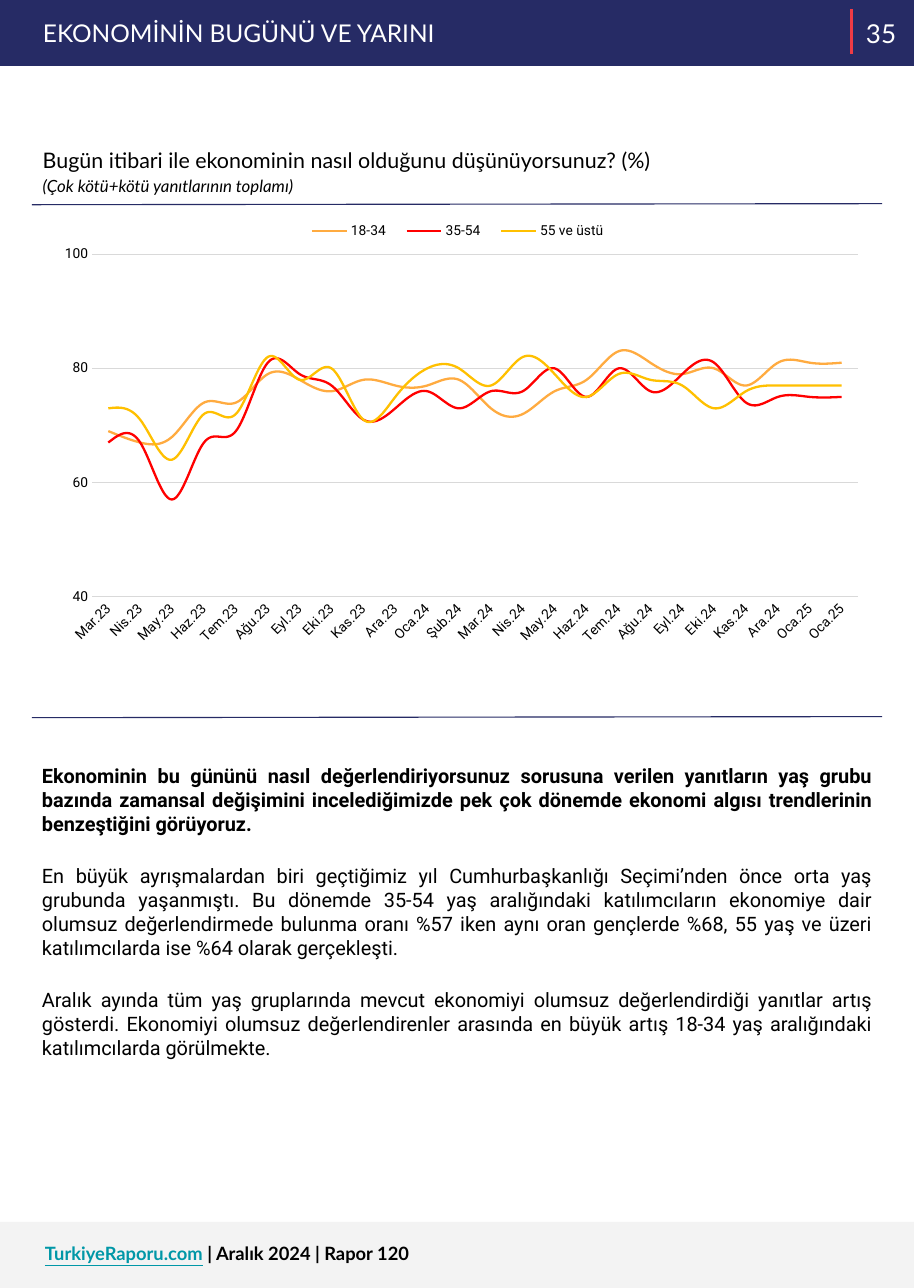
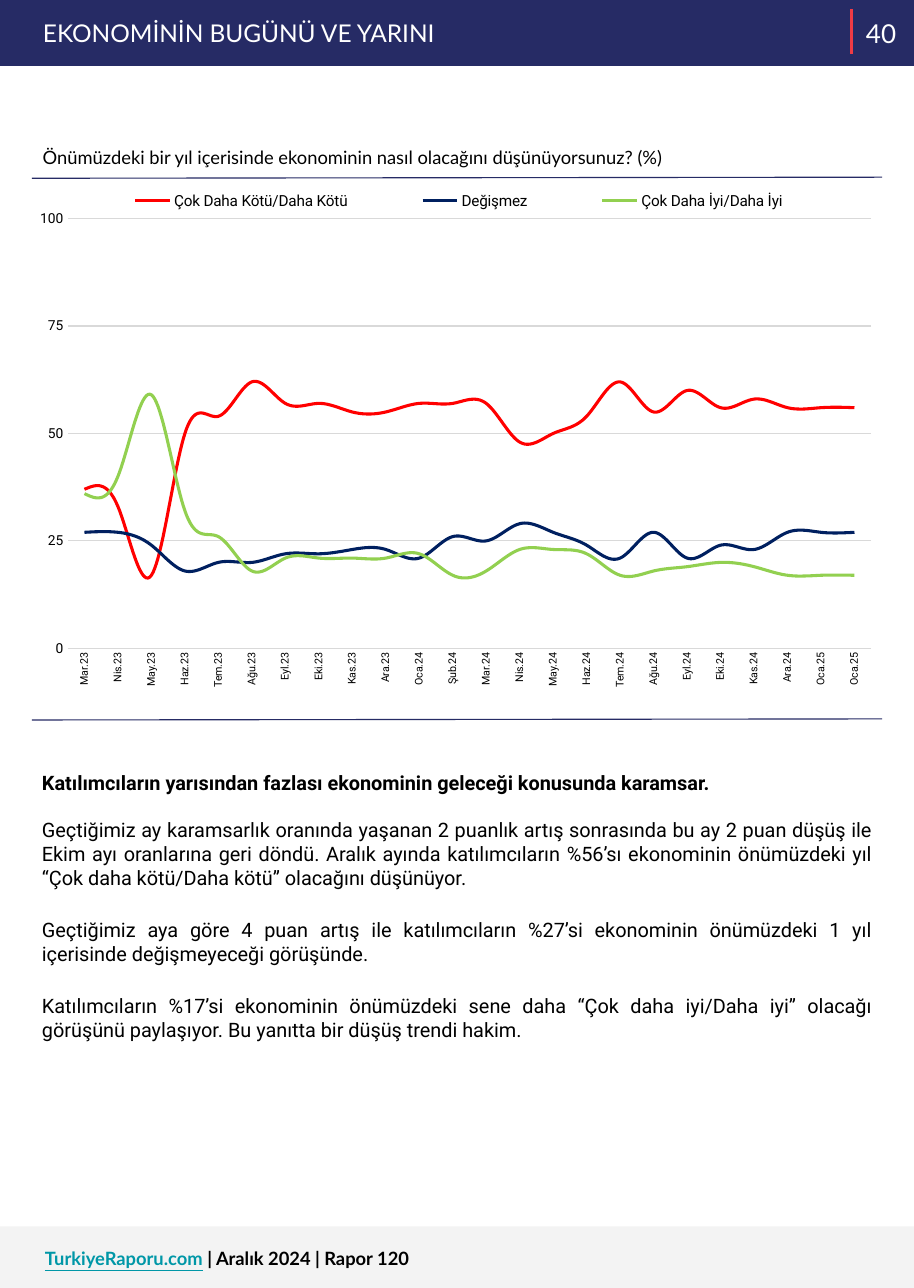
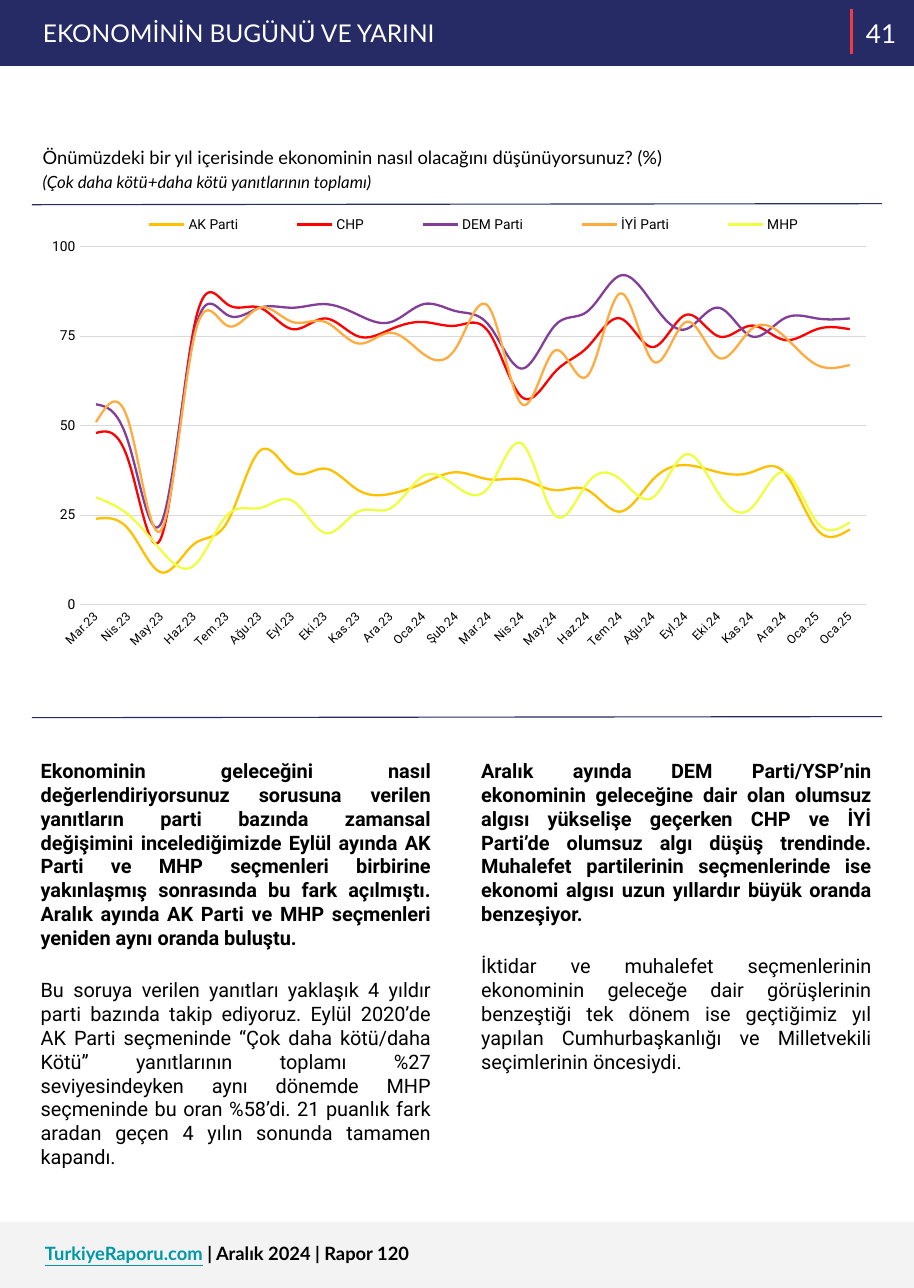
from lxml import etree
from pptx import Presentation
from pptx.chart.data import CategoryChartData
from pptx.dml.color import RGBColor
from pptx.enum import chart as charts, shapes, text
from pptx.oxml.ns import qn
from pptx.util import Pt

NAVY = RGBColor(0x26, 0x2B, 0x65)
CORAL = RGBColor(0xEF, 0x3B, 0x45)
TEAL = RGBColor(0x00, 0x97, 0xA7)
PALE = RGBColor(0xF3, 0xF3, 0xF3)
GRID = RGBColor(0xD9, 0xD9, 0xD9)
WHITE = RGBColor(0xFF, 0xFF, 0xFF)
BLACK = RGBColor(0, 0, 0)
RED = RGBColor(0xFF, 0, 0)
ORANGE = RGBColor(0xFF, 0xAB, 0x40)
AMBER = RGBColor(0xFF, 0xC0, 0)
MARINE = RGBColor(0, 0x20, 0x60)
GREEN = RGBColor(0x92, 0xD0, 0x50)
PURPLE = RGBColor(0x83, 0x3E, 0x97)
LEMON = RGBColor(0xEE, 0xFF, 0x41)

HEADING, BODY = "Lato", "Roboto"
PAGE_WIDTH, PAGE_HEIGHT = 597.6, 842.4
BAND_HEIGHT = 43.2
LEFT, WIDTH = 20.9, 556.6
PARAGRAPH_GAP = 18.4
ONE_COLUMN, TWO_COLUMNS = 1, 3  # layout numbers in the template

MONTHS = ["Oca", "Şub", "Mar", "Nis", "May", "Haz",
          "Tem", "Ağu", "Eyl", "Eki", "Kas", "Ara"]
PERIODS = ([f"{month}.23" for month in MONTHS[2:]]
           + [f"{month}.24" for month in MONTHS] + ["Oca.25"] * 2)


def style_font(font, name, size, color=BLACK, bold=None, italic=None):
    font.name, font.size = name, Pt(size)
    font.bold, font.italic = bold, italic
    font.color.rgb = color


def set_layout(parent, index, position, inner=False):
    """Place a plot area or legend by fractions of the chart."""
    for old in parent.findall(qn("c:layout")):
        parent.remove(old)
    layout = etree.Element(qn("c:layout"))
    manual = etree.SubElement(layout, qn("c:manualLayout"))
    settings = [("layoutTarget", "inner")] if inner else []
    settings += [("xMode", "edge"), ("yMode", "edge")]
    settings += zip("xywh", position)
    for tag, value in settings:
        etree.SubElement(manual, qn(f"c:{tag}")).set("val", str(value))
    parent.insert(index, layout)


class Report:
    def __init__(self):
        self.presentation = Presentation()
        self.presentation.slide_width = Pt(PAGE_WIDTH)
        self.presentation.slide_height = Pt(PAGE_HEIGHT)
        self.slide = None

    def new_slide(self, layout, number, footer_top=799.2):
        layouts = self.presentation.slide_layouts
        self.slide = self.presentation.slides.add_slide(layouts[layout])
        # Header
        self.band(0, NAVY)
        self.line(556.6, 5.8, 556.6, 35.3, CORAL, 2.25)
        title = self.slide.shapes.title
        self.slide.shapes._spTree.append(title._element)  # above the band
        self.place(title, 20.9, 4.3, 464.4, 33.8)
        self.paragraph(title.text_frame, "EKONOMİNİN BUGÜNÜ VE YARINI",
                       HEADING, 16, WHITE)
        page = self.text_box(556.6, -10.8, 38.9, 64.8)
        page.vertical_anchor = text.MSO_ANCHOR.MIDDLE
        self.paragraph(page, str(number), HEADING, 17, WHITE,
                       align=text.PP_ALIGN.CENTER)
        # Footer
        self.band(footer_top, PALE)
        footer = self.text_box(22.3, footer_top + 6.3, 501, 28.8)
        paragraph = footer.paragraphs[0]
        style_font(paragraph.font, HEADING, 12, bold=True)
        site, issue = paragraph.add_run(), paragraph.add_run()
        site.text, issue.text = "TurkiyeRaporu.com", " | Aralık 2024 | Rapor 120"
        site.font.underline = True
        site.font.color.rgb = TEAL

    def band(self, top, color):
        shape = self.slide.shapes.add_shape(
            shapes.MSO_SHAPE.RECTANGLE, 0, Pt(top), Pt(PAGE_WIDTH), Pt(BAND_HEIGHT))
        shape.shadow.inherit = False
        shape.fill.solid()
        shape.fill.fore_color.rgb = color
        shape.line.fill.background()

    def line(self, x1, y1, x2, y2, color, width):
        connector = self.slide.shapes.add_connector(
            shapes.MSO_CONNECTOR.STRAIGHT, Pt(x1), Pt(y1), Pt(x2), Pt(y2))
        connector.line.color.rgb = color
        connector.line.width = Pt(width)
        etree.SubElement(connector._element.spPr, qn("a:effectLst"))

    def rule(self, top):
        self.line(LEFT, top, 576.7, top - 0.7, NAVY, 0.75)

    def place(self, shape, left, top, width, height):
        shape.left, shape.top = Pt(left), Pt(top)
        shape.width, shape.height = Pt(width), Pt(height)
        frame = shape.text_frame
        frame.word_wrap = True
        frame.auto_size = text.MSO_AUTO_SIZE.NONE
        frame.vertical_anchor = text.MSO_ANCHOR.TOP
        frame.margin_left = frame.margin_right = Pt(7.2)
        frame.margin_top = frame.margin_bottom = Pt(7.2)
        return frame

    def text_box(self, *box):
        shape = self.slide.shapes.add_textbox(*map(Pt, box))
        return self.place(shape, *box)

    def paragraph(self, frame, words, name, size, color=BLACK, bold=False,
                  italic=False, align=text.PP_ALIGN.LEFT, before=0, spacing=1.0):
        first = frame.paragraphs[0]
        paragraph = frame.add_paragraph() if first.text else first
        paragraph.text = words
        properties = paragraph._p.get_or_add_pPr()
        properties.set("marL", "0")
        properties.set("indent", "0")
        etree.SubElement(properties, qn("a:buNone"))
        paragraph.alignment = align
        paragraph.line_spacing = spacing
        paragraph.space_before = Pt(before)
        style_font(paragraph.font, name, size, color, bold, italic)

    def question(self, words, size, note=None):
        frame = self.text_box(LEFT, 86.4, WIDTH, 47)
        self.paragraph(frame, words, HEADING, size, spacing=1.15)
        if note:
            self.paragraph(frame, note, HEADING, 11, italic=True, spacing=1.15)

    def commentary(self, index, box, lead, *others, first_gap=PARAGRAPH_GAP):
        """Bold lead paragraph, then plain ones."""
        frame = self.place(self.slide.placeholders[index], *box)
        justify = text.PP_ALIGN.JUSTIFY
        self.paragraph(frame, lead, BODY, 13, bold=True, align=justify)
        for position, words in enumerate(others):
            gap = PARAGRAPH_GAP if position else first_gap
            self.paragraph(frame, words, BODY, 13, align=justify, before=gap)

    def line_chart(self, top, height, series, plot, legend, minimum=0, step=25,
                   month_size=9, legend_size=9, rotation=-45, weight=1.5):
        data = CategoryChartData()
        data.categories = PERIODS
        for name, _, values in series:
            data.add_series(name, values)
        chart = self.slide.shapes.add_chart(
            charts.XL_CHART_TYPE.LINE, Pt(LEFT), Pt(top), Pt(WIDTH), Pt(height),
            data).chart
        chart.has_title = False
        style_font(chart.font, BODY, 10)
        for line, (_, color, _) in zip(chart.plots[0].series, series):
            line.smooth = True
            line.format.line.color.rgb = color
            line.format.line.width = Pt(weight)
        # Axes
        months, percent = chart.category_axis, chart.value_axis
        for axis, size in ((months, month_size), (percent, 9)):
            axis.major_tick_mark = axis.minor_tick_mark = charts.XL_TICK_MARK.NONE
            style_font(axis.tick_labels.font, BODY, size)
        months._element.txPr.bodyPr.set("rot", str(rotation * 60000))
        percent.minimum_scale, percent.maximum_scale = minimum, 100
        percent.major_unit = step
        percent.format.line.fill.background()
        for thin in (months.format.line, percent.major_gridlines.format.line):
            thin.color.rgb = GRID
            thin.width = Pt(0.75)
        # Legend and plot area
        chart.has_legend = True
        chart.legend.position = charts.XL_LEGEND_POSITION.BOTTOM
        chart.legend.include_in_layout = False
        style_font(chart.legend.font, BODY, legend_size)
        set_layout(chart.legend._element, 1, legend)
        set_layout(chart._chartSpace.chart.plotArea, 0, plot, inner=True)


def main():
    report = Report()

    # Today's economy by age group
    report.new_slide(ONE_COLUMN, 35)
    report.question("Bugün itibari ile ekonominin nasıl olduğunu düşünüyorsunuz? (%)",
                    14, "(Çok kötü+kötü yanıtlarının toplamı)")
    report.rule(133.9)
    report.rule(469.4)
    report.commentary(
        1, (20.2, 492.5, WIDTH, 284.4),
        "Ekonominin bu gününü nasıl değerlendiriyorsunuz sorusuna verilen yanıtların "
        "yaş grubu bazında zamansal değişimini incelediğimizde pek çok dönemde ekonomi "
        "algısı trendlerinin benzeştiğini görüyoruz.",
        "En büyük ayrışmalardan biri geçtiğimiz yıl Cumhurbaşkanlığı Seçimi’nden önce "
        "orta yaş grubunda yaşanmıştı. Bu dönemde 35-54 yaş aralığındaki katılımcıların "
        "ekonomiye dair olumsuz değerlendirmede bulunma oranı %57 iken aynı oran "
        "gençlerde %68, 55 yaş ve üzeri katılımcılarda ise %64 olarak gerçekleşti.",
        "Aralık ayında tüm yaş gruplarında mevcut ekonomiyi olumsuz değerlendirdiği "
        "yanıtlar artış gösterdi. Ekonomiyi olumsuz değerlendirenler arasında en büyük "
        "artış 18-34 yaş aralığındaki katılımcılarda görülmekte.")
    report.line_chart(
        135.4, 333.4,
        [("18-34", ORANGE, [69, 67, 68, 74, 74, 79, 78, 76, 78, 77, 77, 78,
                            73, 72, 76, 78, 83, 81, 79, 80, 77, 81, 81, 81]),
         ("35-54", RED, [67, 67, 57, 67, 69, 81, 79, 77, 71, 73, 76, 73,
                         76, 76, 80, 75, 80, 76, 79, 81, 74, 75, 75, 75]),
         ("55 ve üstü", AMBER, [73, 71, 64, 72, 72, 82, 78, 80, 71, 75, 80, 80,
                                77, 82, 79, 75, 79, 78, 77, 73, 76, 77, 77, 77])],
        plot=(0.071, 0.093, 0.899, 0.671), legend=(0.31, 0.022, 0.38, 0.05),
        minimum=40, step=20)

    # Expectations for the coming year
    outlook = ("Önümüzdeki bir yıl içerisinde ekonominin nasıl olacağını "
               "düşünüyorsunuz? (%)")
    report.new_slide(ONE_COLUMN, 40, footer_top=802.1)
    report.question(outlook, 12)
    report.rule(116.6)
    report.rule(470.9)
    report.commentary(
        1, (20.2, 496.8, WIDTH, 230.4),
        "Katılımcıların yarısından fazlası ekonominin geleceği konusunda karamsar.",
        "Geçtiğimiz ay karamsarlık oranında yaşanan 2 puanlık artış sonrasında bu ay 2 "
        "puan düşüş ile Ekim ayı oranlarına geri döndü. Aralık ayında katılımcıların "
        "%56’sı ekonominin önümüzdeki yıl “Çok daha kötü/Daha kötü” olacağını düşünüyor.",
        "Geçtiğimiz aya göre 4 puan artış ile katılımcıların %27’si ekonominin "
        "önümüzdeki 1 yıl içerisinde değişmeyeceği görüşünde.",
        "Katılımcıların %17’si ekonominin önümüzdeki sene daha “Çok daha iyi/Daha iyi” "
        "olacağı görüşünü paylaşıyor. Bu yanıtta bir düşüş trendi hakim.",
        first_gap=15.3)
    report.line_chart(
        118.8, 350.6,
        [("Çok Daha Kötü/Daha Kötü", RED,
          [37, 33, 17, 50, 54, 62, 57, 57, 55, 55, 57, 57,
           57, 48, 50, 54, 62, 55, 60, 56, 58, 56, 56, 56]),
         ("Değişmez", MARINE,
          [27, 27, 24, 18, 20, 20, 22, 22, 23, 23, 21, 26,
           25, 29, 27, 24, 21, 27, 21, 24, 23, 27, 27, 27]),
         ("Çok Daha İyi/Daha İyi", GREEN,
          [36, 40, 59, 32, 26, 18, 21, 21, 21, 21, 22, 17,
           18, 23, 23, 22, 17, 18, 19, 20, 19, 17, 17, 17])],
        plot=(0.042, 0.069, 0.944, 0.802), legend=(0.039, 0.011, 0.925, 0.05),
        month_size=7, legend_size=10, rotation=-90, weight=2)

    # Expectations by party
    report.new_slide(TWO_COLUMNS, 41)
    report.question(outlook, 12, "(Çok daha kötü+daha kötü yanıtlarının toplamı)")
    report.rule(133.9)
    report.rule(469.4)
    report.commentary(
        1, (19.4, 488.9, 269.3, 300),
        "Ekonominin geleceğini nasıl değerlendiriyorsunuz sorusuna verilen yanıtların "
        "parti bazında zamansal değişimini incelediğimizde Eylül ayında AK Parti ve MHP "
        "seçmenleri birbirine yakınlaşmış sonrasında bu fark açılmıştı.\n"
        "Aralık ayında AK Parti ve MHP seçmenleri yeniden aynı oranda buluştu.",
        "Bu soruya verilen yanıtları yaklaşık 4 yıldır parti bazında takip ediyoruz. "
        "Eylül 2020’de AK Parti seçmeninde “Çok daha kötü/daha Kötü” yanıtlarının "
        "toplamı %27 seviyesindeyken aynı dönemde MHP seçmeninde bu oran %58’di. 21 "
        "puanlık fark aradan geçen 4 yılın sonunda tamamen kapandı.")
    report.commentary(
        2, (307.4, 488.9, 269.3, 300),
        "Aralık ayında DEM Parti/YSP’nin ekonominin geleceğine dair olan olumsuz algısı "
        "yükselişe geçerken CHP ve İYİ Parti’de olumsuz algı düşüş trendinde. Muhalefet "
        "partilerinin seçmenlerinde ise ekonomi algısı uzun yıllardır büyük oranda "
        "benzeşiyor.",
        "İktidar ve muhalefet seçmenlerinin ekonominin geleceğe dair görüşlerinin "
        "benzeştiği tek dönem ise geçtiğimiz yıl yapılan Cumhurbaşkanlığı ve "
        "Milletvekili seçimlerinin öncesiydi.")
    report.line_chart(
        135.4, 334.8,
        [("AK Parti", AMBER, [24, 21, 9, 17, 23, 43, 37, 38, 32, 31, 34, 37,
                              35, 35, 32, 32, 26, 35, 39, 37, 37, 37, 21, 21]),
         ("CHP", RED, [48, 40, 19, 78, 84, 83, 77, 80, 75, 77, 79, 78,
                       76, 58, 65, 72, 80, 72, 81, 75, 78, 74, 77, 77]),
         ("DEM Parti", PURPLE, [56, 45, 23, 76, 81, 83, 83, 84, 81, 79, 84, 82,
                                78, 66, 78, 82, 92, 84, 77, 83, 75, 80, 80, 80]),
         ("İYİ Parti", ORANGE, [51, 51, 21, 75, 78, 83, 79, 79, 73, 76, 70, 72,
                                83, 56, 71, 64, 87, 68, 79, 69, 77, 75, 67, 67]),
         ("MHP", LEMON, [30, 25, 15, 11, 25, 27, 29, 20, 26, 27, 36, 33,
                         33, 45, 25, 34, 35, 30, 42, 31, 27, 37, 23, 23])],
        plot=(0.056, 0.078, 0.924, 0.699), legend=(0.074, 0.009, 0.89, 0.05),
        month_size=8)

    report.presentation.save("out.pptx")


if __name__ == "__main__":
    main()
